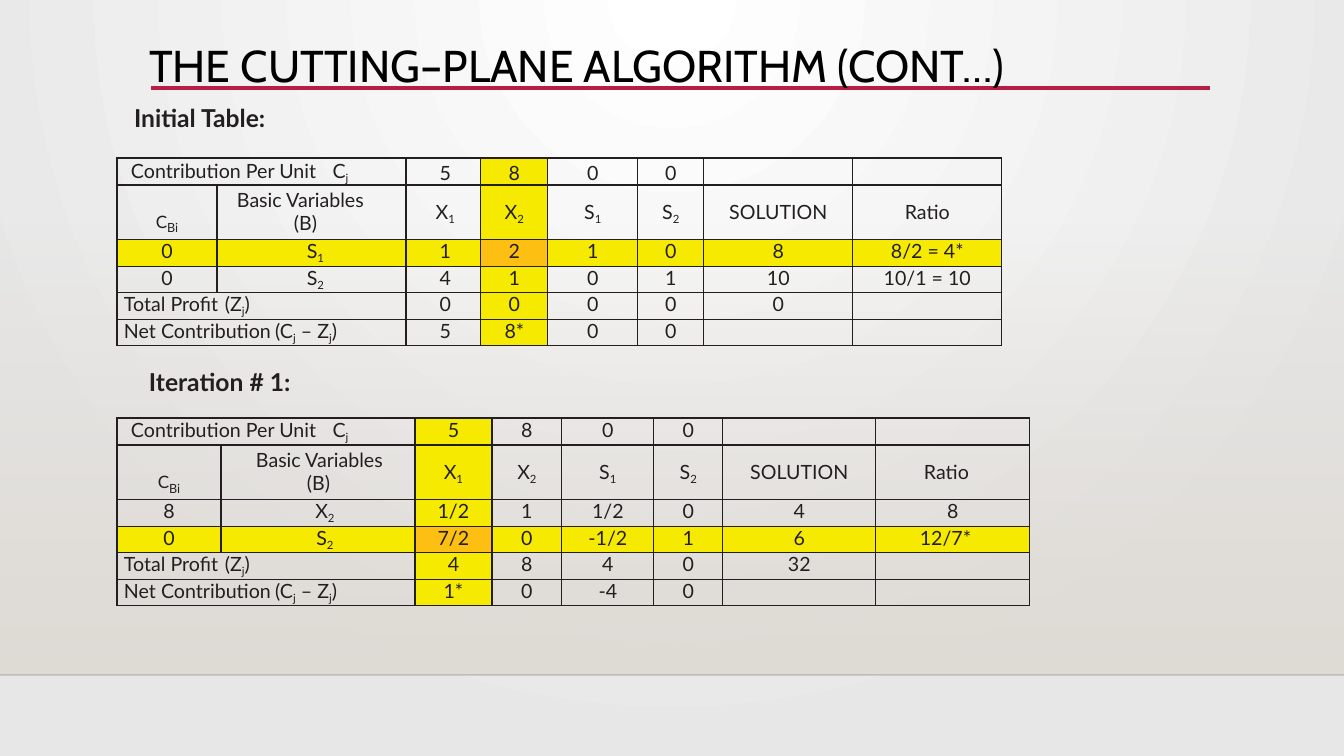
from dataclasses import dataclass

import pptx
import pptx.dml.color
import pptx.enum.shapes
import pptx.enum.text
import pptx.oxml
import pptx.oxml.ns
import pptx.util

SCALE = 914400 / 100.8
COLORS = {
    "ink": "231F20", "title": "000000", "rule": "B71E42", "floor": "000001",
    "white": "FFFFFF", "grey": "E7E7E7", "sand": "DFDBD5",
    "highlight": "F6EB00", "pivot": "FDC012",
}
ALIGN = pptx.enum.text.PP_ALIGN
ROW_HEIGHTS = [27, 54, 27, 26, 27, 26]
TABLE_LEFT = 117
HEADER_ROW = 1
HEADINGS = ["C^Bi", "Basic Variables\n(B)", "X_1", "X_2", "S_1", "S_2", "SOLUTION", "Ratio"]
CONTRIBUTION = "Contribution Per Unit\tC_j"
PROFIT = "Total Profit\t(Z_j)"
NET = "Net Contribution\t(C_j – Z_j)"
LABEL_INDENTS = {CONTRIBUTION: (14, 256), PROFIT: (7, 128), NET: (7, 183)}


@dataclass
class Caption:
    text: str
    left: int
    top: int
    width: int


@dataclass
class Tableau:
    top: int
    widths: list[int]
    pivot: tuple[int, int]
    rows: list[list[str]]
    basic_indents: tuple[int, int]
    nudges: dict[int, int]
    left_starts: dict[tuple[int, int], int]
    first_row_spacing: float | None = None


CAPTIONS = [
    Caption("Initial Table:", 134, 102, 161),
    Caption("Iteration # 1:", 149, 366, 172),
]
TABLEAUS = [
    Tableau(158, [100, 189, 75, 67, 90, 66, 149, 149], (2, 3), [
        [CONTRIBUTION, "5", "8", "0", "0", "", ""],
        HEADINGS,
        ["0", "S_1", "1", "2", "1", "0", "8", "8/2 = 4*"],
        ["0", "S_2", "4", "1", "0", "1", "10", "10/1 = 10"],
        [PROFIT, "0", "0", "0", "0", "0", ""],
        [NET, "5", "8*", "0", "0", "", ""],
    ], (20, 77), {1: 8, 2: 4}, {}, 19.2),
    Tableau(418, [104, 194, 77, 70, 92, 69, 153, 154], (3, 2), [
        [CONTRIBUTION, "5", "8", "0", "0", "", ""],
        HEADINGS,
        ["8", "X_2", "1/2", "1", "1/2", "0", "4", "8"],
        ["0", "S_2", "7/2", "0", "-1/2", "1", "6", "12/7*"],
        [PROFIT, "4", "8", "4", "0", "32", ""],
        [NET, "1*", "0", "-4", "0", "", ""],
    ], (35, 86), {1: 14}, {(1, 7): 48, (3, 7): 44}),
]


def px(length: int) -> pptx.util.Emu:
    return pptx.util.Emu(round(length * SCALE))


def rgb(name: str) -> pptx.dml.color.RGBColor:
    return pptx.dml.color.RGBColor.from_string(COLORS[name])


def element(tag: str, attributes: str = "", children: str = ""):
    namespace = pptx.oxml.ns.nsdecls("a")
    return pptx.oxml.parse_xml(f"<a:{tag} {namespace} {attributes}>{children}</a:{tag}>")


def set_gradient(owner, stops: list[tuple[str, int]], direction: str) -> None:
    old = next(owner.iter(pptx.oxml.ns.qn("a:gradFill")))
    marks = "".join(
        f'<a:gs pos="{index * 100000}"><a:srgbClr val="{COLORS[name]}">'
        f'<a:alpha val="{alpha * 1000}"/></a:srgbClr></a:gs>'
        for index, (name, alpha) in enumerate(stops))
    new = element("gradFill", 'rotWithShape="1"', f"<a:gsLst>{marks}</a:gsLst>{direction}")
    old.getparent().replace(old, new)


def add_rule(page, left: int, right: int, top: int, color: str, width: float, alpha: int = 100) -> None:
    rule = page.shapes.add_connector(
        pptx.enum.shapes.MSO_CONNECTOR.STRAIGHT, px(left), px(top), px(right), px(top))
    rule.line.color.rgb = rgb(color)
    rule.line.width = pptx.util.Pt(width)
    paint = next(rule._element.spPr.iter(pptx.oxml.ns.qn("a:srgbClr")))
    paint.append(element("alpha", f'val="{alpha * 1000}"'))
    rule._element.spPr.append(element("effectLst"))


def add_span(para, text: str, size: float = 14, font: str = "Lato", color: str = "ink",
             bold: bool = False, baseline: int = 0) -> None:
    if not text:
        return
    span = para.add_run()
    span.text = text
    span.font.size = pptx.util.Pt(size)
    span.font.name = font
    span.font.bold = bold
    span.font.color.rgb = rgb(color)
    if baseline:
        span._r.get_or_add_rPr().set("baseline", str(baseline * 1000))


def add_formula(para, text: str) -> None:
    if "^" in text:
        base, index = text.split("^")
        add_span(para, base, size=21, baseline=14)
        add_span(para, index, size=9)
        return
    first, *rest = text.split("_")
    add_span(para, first)
    for part in rest:
        add_span(para, part[0], baseline=-21)
        add_span(para, part[1:])


def set_frame(frame) -> None:
    frame.margin_left = frame.margin_right = frame.margin_bottom = 0
    frame.margin_top = px(1)
    frame.word_wrap = True
    frame.auto_size = pptx.enum.text.MSO_AUTO_SIZE.NONE
    frame.vertical_anchor = pptx.enum.text.MSO_ANCHOR.TOP
    frame.paragraphs[0].alignment = ALIGN.LEFT


def indent(para, left: int, tab: int = 0) -> None:
    para.alignment = ALIGN.LEFT
    properties = para._p.get_or_add_pPr()
    properties.set("marL", str(px(left)))
    properties.set("indent", "0")
    if tab:
        properties.append(element("tabLst", children=f'<a:tab pos="{px(tab)}" algn="l"/>'))


def style_cell(cell, fill: str | None) -> None:
    cell.margin_left = cell.margin_right = cell.margin_top = cell.margin_bottom = 0
    if fill:
        cell.fill.solid()
        cell.fill.fore_color.rgb = rgb(fill)
    else:
        cell.fill.background()
    if not cell.is_spanned:
        ink = f'<a:solidFill><a:srgbClr val="{COLORS["ink"]}"/></a:solidFill><a:prstDash val="solid"/>'
        for order, side in enumerate("LRTB"):
            cell._tc.get_or_add_tcPr().insert(order, element(f"ln{side}", 'w="12700"', ink))


def fill_cell(cell, text: str, row: int, column: int, tableau: Tableau) -> None:
    if row == HEADER_ROW:
        cell.margin_top = px({0: 19, 1: 3}.get(column, 15))
    lines = text.split("\n")
    for number, line in enumerate(lines):
        para = cell.text_frame.paragraphs[0] if number == 0 else cell.text_frame.add_paragraph()
        para.alignment = ALIGN.CENTER
        if row == 0 and tableau.first_row_spacing:
            para.line_spacing = pptx.util.Pt(tableau.first_row_spacing)
        if text in LABEL_INDENTS:
            indent(para, *LABEL_INDENTS[text])
        elif len(lines) > 1:
            indent(para, tableau.basic_indents[number])
        elif (row, column) in tableau.left_starts:
            indent(para, tableau.left_starts[row, column])
        else:
            cell.margin_left = px(tableau.nudges.get(column, 0))
        add_formula(para, line)


def add_tableau(page, tableau: Tableau) -> None:
    frame = page.shapes.add_table(
        len(ROW_HEIGHTS), len(tableau.widths), px(TABLE_LEFT), px(tableau.top),
        px(sum(tableau.widths)), px(sum(ROW_HEIGHTS)))
    table = frame.table
    table.first_row = table.horz_banding = False
    for column, width in zip(table.columns, tableau.widths):
        column.width = px(width)
    for row, height in zip(table.rows, ROW_HEIGHTS):
        row.height = px(height)
    pivot_row, pivot_column = tableau.pivot
    for row, texts in enumerate(tableau.rows):
        if len(texts) < len(tableau.widths):
            table.cell(row, 0).merge(table.cell(row, 1))
            texts = [texts[0], "", *texts[1:]]
        for column, text in enumerate(texts):
            cell = table.cell(row, column)
            hits = (row == pivot_row) + (column == pivot_column)
            style_cell(cell, [None, "highlight", "pivot"][hits])
            if text:
                fill_cell(cell, text, row, column, tableau)
            else:
                cell.text_frame.paragraphs[0]._p.append(element("endParaRPr", 'sz="1400"'))


def main() -> None:
    deck = pptx.Presentation()
    deck.slide_width, deck.slide_height = px(1344), px(756)
    page = deck.slides.add_slide(deck.slide_layouts[5])
    page.background.fill.gradient()
    set_gradient(page._element, [("white", 100), ("grey", 100)],
                 '<a:path path="circle"><a:fillToRect l="43000" r="43000" b="100000"/></a:path>')
    wall = page.shapes.add_shape(
        pptx.enum.shapes.MSO_SHAPE.RECTANGLE, 0, px(223), px(1344), px(452))
    wall.shadow.inherit = False
    wall.line.fill.background()
    wall.fill.gradient()
    set_gradient(wall._element, [("sand", 0), ("sand", 100)], '<a:lin ang="5400000" scaled="0"/>')
    add_rule(page, 0, 1344, 675, "floor", 1, 20)
    add_rule(page, 151, 1210, 88, "rule", 2.5)

    title = page.shapes.title
    page.shapes._spTree.append(title._element)
    title.left, title.top, title.width, title.height = px(149), px(37), px(1128), px(56)
    set_frame(title.text_frame)
    add_span(title.text_frame.paragraphs[0], "THE CUTTING–PLANE ALGORITHM (CONT…)", 31.8, "Cabin", "title")
    for caption in CAPTIONS:
        box = page.shapes.add_textbox(px(caption.left), px(caption.top), px(caption.width), px(31))
        set_frame(box.text_frame)
        add_span(box.text_frame.paragraphs[0], caption.text, 17.6, bold=True)
    for tableau in TABLEAUS:
        add_tableau(page, tableau)
    deck.save("out.pptx")


if __name__ == "__main__":
    main()
